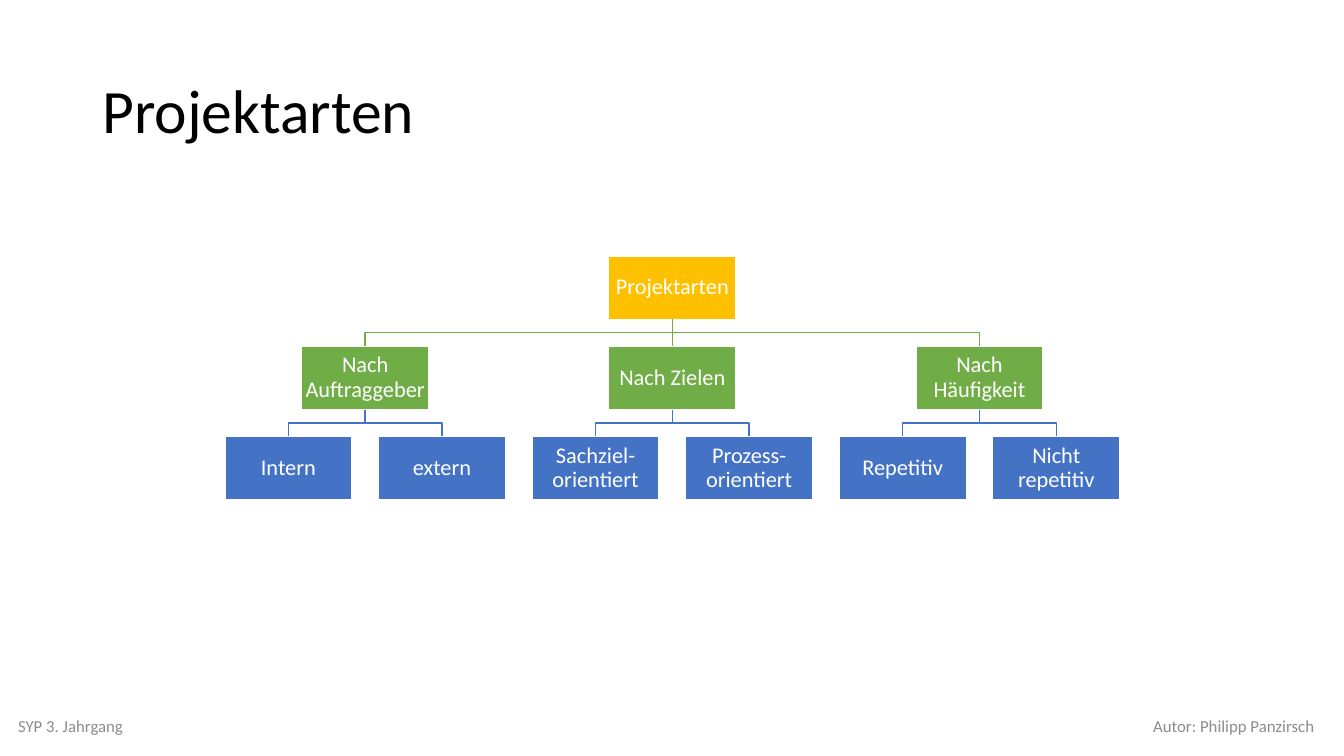
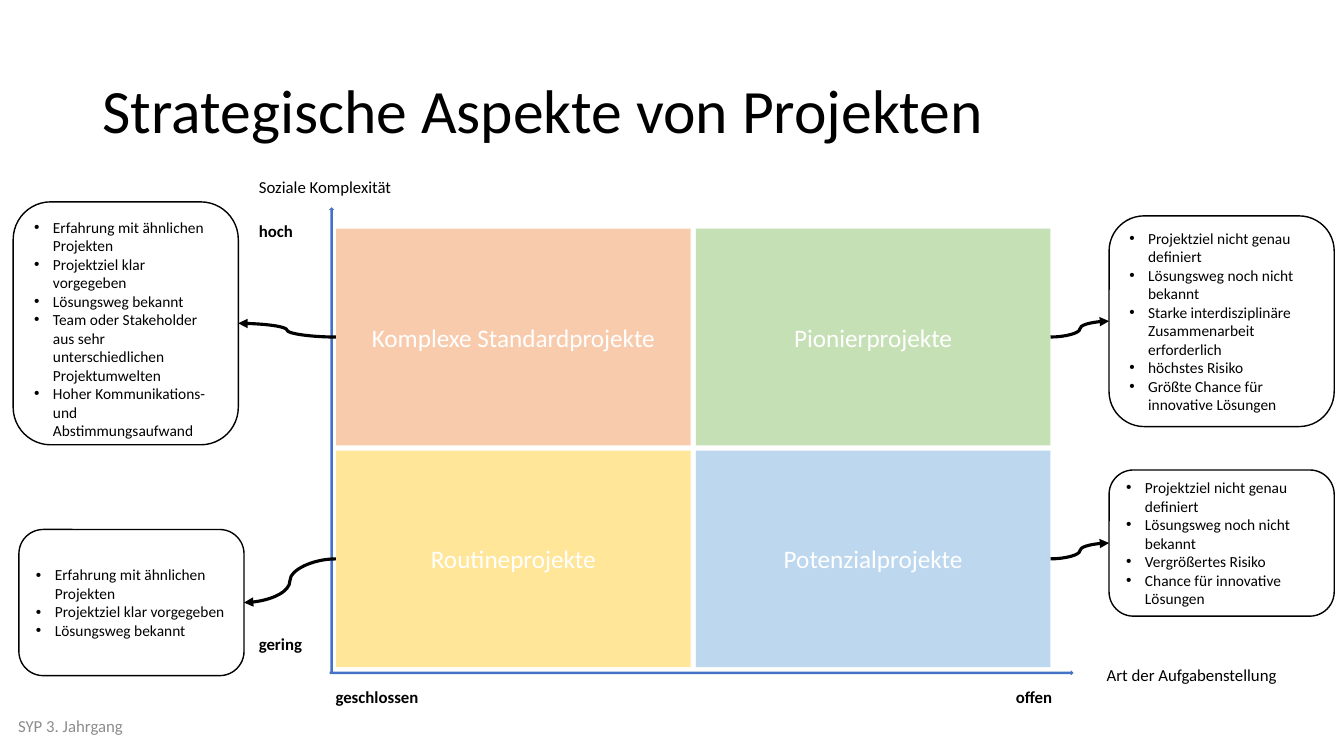
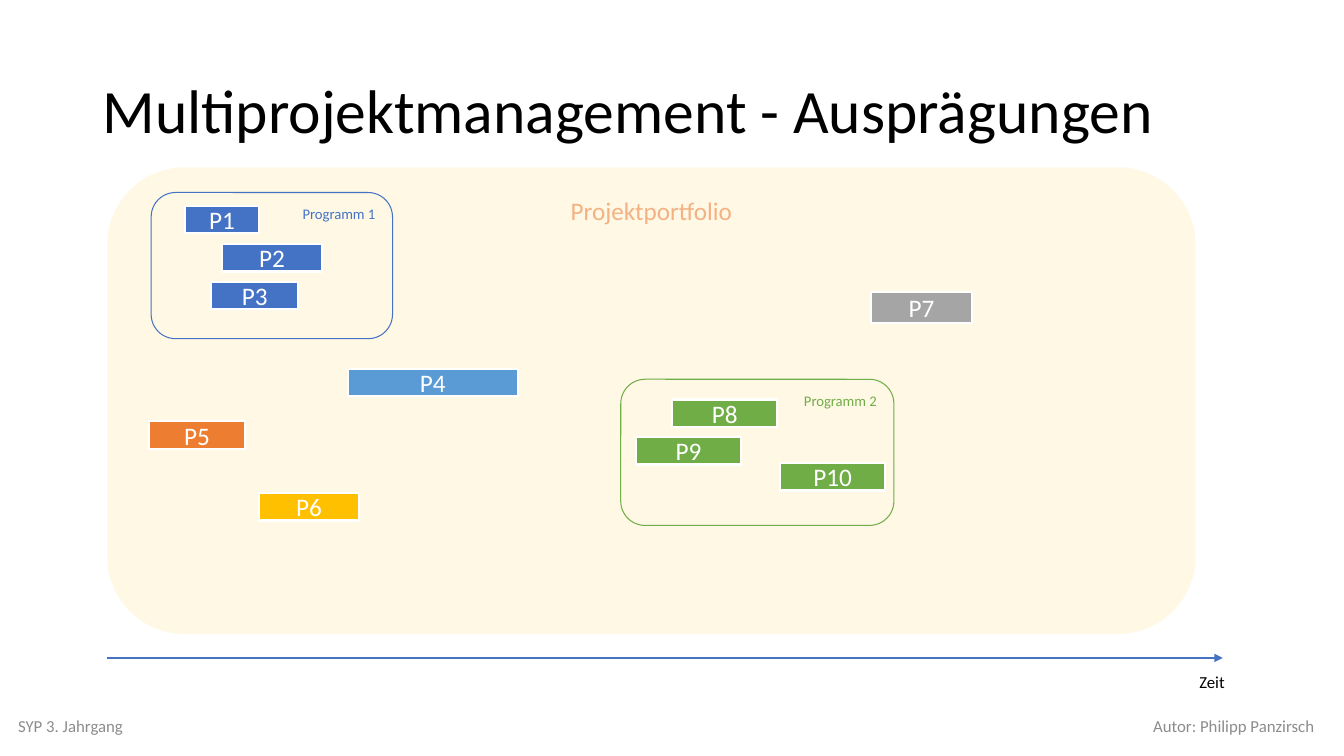
from dataclasses import dataclass
from typing import Any, NamedTuple

from lxml.etree import SubElement
from pptx import Presentation
from pptx.dml.color import RGBColor
from pptx.enum.shapes import MSO_CONNECTOR, MSO_SHAPE
from pptx.enum.text import MSO_ANCHOR, MSO_AUTO_SIZE, PP_ALIGN
from pptx.oxml.ns import qn
from pptx.util import Pt


@dataclass(frozen=True)
class Theme:
    font: str = "Calibri"
    black: RGBColor = RGBColor(0, 0, 0)
    white: RGBColor = RGBColor(255, 255, 255)
    footer: RGBColor = RGBColor.from_string("8C8C8C")
    blue: RGBColor = RGBColor.from_string("4472C4")
    sky: RGBColor = RGBColor.from_string("5B9BD5")
    green: RGBColor = RGBColor.from_string("70AD47")
    gold: RGBColor = RGBColor.from_string("FFC000")
    orange: RGBColor = RGBColor.from_string("ED7D31")
    grey: RGBColor = RGBColor.from_string("A5A5A5")
    peach: RGBColor = RGBColor.from_string("F4B183")
    cream: RGBColor = RGBColor.from_string("FFF2CC")
    pale_orange: RGBColor = RGBColor.from_string("F8CBAD")
    pale_green: RGBColor = RGBColor.from_string("C5E0B4")
    pale_gold: RGBColor = RGBColor.from_string("FFE699")
    pale_blue: RGBColor = RGBColor.from_string("BDD7EE")
    title_size: float = 44
    box_size: float = 18
    node_size: float = 16
    label_size: float = 12
    list_size: float = 11
    program_size: float = 10.5


T = Theme()


class Box(NamedTuple):
    x: float
    y: float
    w: float
    h: float

    def points(self) -> list:
        return [Pt(v) for v in self]


@dataclass(frozen=True)
class Style:
    size: float
    color: RGBColor
    bold: bool = False
    align: Any = PP_ALIGN.LEFT
    anchor: Any = MSO_ANCHOR.TOP
    spacing: float = 1.0
    inset: float | None = None
    bullet: bool = False


@dataclass(frozen=True)
class Node:
    label: str
    children: tuple = ()


@dataclass(frozen=True)
class Label:
    text: str
    box: Box
    bold: bool = True


@dataclass(frozen=True)
class Quadrant:
    name: str
    col: int
    row: int
    color: RGBColor
    note: Box
    traits: tuple
    anchor: Any = MSO_ANCHOR.MIDDLE


@dataclass(frozen=True)
class Project:
    name: str
    box: Box
    color: RGBColor


@dataclass(frozen=True)
class Program:
    name: str
    box: Box
    color: RGBColor


CENTER = {"align": PP_ALIGN.CENTER, "anchor": MSO_ANCHOR.MIDDLE}
TITLE = Style(T.title_size, T.black, anchor=MSO_ANCHOR.MIDDLE, spacing=0.9)
BOX_TEXT = Style(T.box_size, T.white, **CENTER)
NODE_TEXT = Style(T.node_size, T.white, spacing=0.9, inset=0.7, **CENTER)

TITLE_BOX = Box(66, 28.8, 828, 104.4)
FOOTERS = (
    ("SYP 3. Jahrgang", Box(5.8, 504, 324, 28.8), PP_ALIGN.LEFT),
    ("Autor: Philipp Panzirsch", Box(622, 504, 324, 28.8), PP_ALIGN.RIGHT),
)

TREE = Node("Projektarten", (
    Node("Nach Auftraggeber", (Node("Intern"), Node("extern"))),
    Node("Nach Zielen", (Node("Sachziel-orientiert"), Node("Prozess-orientiert"))),
    Node("Nach Häufigkeit", (Node("Repetitiv"), Node("Nicht repetitiv"))),
))
LEVEL_COLORS = (T.gold, T.green, T.blue)
NODE_ORIGIN = Box(160.6, 182.8, 90.8, 45.4)
NODE_PITCH_X, NODE_PITCH_Y = 109.7, 64.4

AXES = ((Box(70.6, 312.5, 332.6, 3.6), 270), (Box(235.4, 478.8, 531.4, 3.6), 0))
AXIS_LABELS = (
    Label("Art der Aufgabenstellung", Box(783.4, 471.6, 147.6, 21.8), False),
    Label("Soziale Komplexität", Box(177.8, 122.4, 115, 21.8), False),
    Label("gering", Box(177.8, 449.3, 56, 21.8)),
    Label("hoch", Box(177.8, 154.1, 42, 21.8)),
    Label("geschlossen", Box(232.6, 486.7, 78, 21.8)),
    Label("offen", Box(718.6, 486.7, 50, 21.8)),
)
QUADRANT_ORIGIN = Box(240, 163.4, 253.4, 154.8)
QUADRANT_GAP = 3.6
NEW_GROUND = ("Projektziel nicht genau definiert", "Lösungsweg noch nicht bekannt")
KNOWN_GROUND = ("Erfahrung mit ähnlichen Projekten", "Projektziel klar vorgegeben",
                "Lösungsweg bekannt")
QUADRANTS = (
    Quadrant("Routineprojekte", 0, 1, T.pale_gold, Box(13.5, 378.2, 160.8, 104.4),
             KNOWN_GROUND),
    Quadrant("Komplexe Standardprojekte", 0, 0, T.pale_orange,
             Box(9.4, 144.2, 160.8, 173.5),
             KNOWN_GROUND + (
                 "Team oder Stakeholder aus sehr unterschiedlichen Projektumwelten",
                 "Hoher Kommunikations- und Abstimmungsaufwand"),
             MSO_ANCHOR.TOP),
    Quadrant("Potenzialprojekte", 1, 1, T.pale_blue, Box(792.2, 335.7, 160.8, 104.4),
             NEW_GROUND + ("Vergrößertes Risiko", "Chance für innovative Lösungen")),
    Quadrant("Pionierprojekte", 1, 0, T.pale_green, Box(792.2, 154.2, 160.8, 150.5),
             NEW_GROUND + ("Starke interdisziplinäre Zusammenarbeit erforderlich",
                           "höchstes Risiko",
                           "Größte Chance für innovative Lösungen")),
)

PORTFOLIO = Box(76.5, 119.5, 777.6, 333.4)
PROGRAMS = (
    Program("Programm 1", Box(108, 137.5, 172.4, 104.4), T.blue),
    Program("Programm 2", Box(443.4, 270.9, 195.1, 104.4), T.green),
)
PROJECTS = (
    Project("P1", Box(132, 146.9, 53.3, 19.6), T.blue),
    Project("P2", Box(158.6, 174.4, 71.4, 19.6), T.blue),
    Project("P3", Box(150.9, 201.2, 62, 19.6), T.blue),
    Project("P4", Box(248.6, 263.5, 121.2, 19.6), T.sky),
    Project("P5", Box(106.2, 300.9, 69, 19.6), T.orange),
    Project("P6", Box(185, 352.2, 71.4, 19.6), T.gold),
    Project("P7", Box(622, 208.4, 72.4, 22.3), T.grey),
    Project("P8", Box(480.2, 285.4, 75, 19.6), T.green),
    Project("P9", Box(454.3, 312.2, 75, 19.6), T.green),
    Project("P10", Box(557.3, 330.8, 75, 19.6), T.green),
)


def apply(obj: Any, values: dict) -> None:
    for name, value in values.items():
        setattr(obj, name, value)


def write(sh: Any, lines: tuple, st: Style) -> None:
    tf = sh.text_frame
    apply(tf, {"word_wrap": True, "auto_size": MSO_AUTO_SIZE.NONE,
               "vertical_anchor": st.anchor})
    if st.inset is not None:
        sides = ("margin_left", "margin_top", "margin_right", "margin_bottom")
        apply(tf, dict.fromkeys(sides, Pt(st.inset)))
    for i, line in enumerate(lines):
        p = tf.add_paragraph() if i else tf.paragraphs[0]
        apply(p, {"alignment": st.align, "line_spacing": st.spacing,
                  "space_before": Pt(0), "space_after": Pt(0)})
        if st.bullet:
            pPr = p._p.get_or_add_pPr()
            pPr.set("marL", str(Pt(13.5)))
            pPr.set("indent", str(-Pt(13.5)))
            SubElement(pPr, qn("a:buFont")).set("typeface", "Arial")
            SubElement(pPr, qn("a:buChar")).set("char", "•")
        r = p.add_run()
        r.text = line
        apply(r.font, {"name": T.font, "size": Pt(st.size), "bold": st.bold})
        r.font.color.rgb = st.color


def add_text(s: Any, text: str, box: Box, st: Style) -> None:
    write(s.shapes.add_textbox(*box.points()), (text,), st)


def paint(sh: Any, fill: RGBColor | None, line: RGBColor | None, width: float) -> None:
    sh.shadow.inherit = False
    if fill is None:
        sh.fill.background()
    else:
        sh.fill.solid()
        sh.fill.fore_color.rgb = fill
    if line is None:
        sh.line.fill.background()
    else:
        sh.line.color.rgb = line
        sh.line.width = Pt(width)


def add_box(s: Any, kind: Any, box: Box, fill: RGBColor | None = None,
            line: RGBColor | None = None, width: float = 1) -> Any:
    sh = s.shapes.add_shape(kind, *box.points())
    paint(sh, fill, line, width)
    return sh


def add_link(s: Any, kind: Any, start: tuple, end: tuple, color: RGBColor,
             width: float, arrow: bool = True) -> Any:
    c = s.shapes.add_connector(kind, *(Pt(v) for v in start + end))
    c.line.color.rgb = color
    c.line.width = Pt(width)
    spPr = c._element.spPr
    if arrow:
        SubElement(spPr.find(qn("a:ln")), qn("a:tailEnd")).set("type", "triangle")
    SubElement(spPr, qn("a:effectLst"))
    return c


def join(s: Any, kind: Any, a: Any, a_side: int, b: Any, b_side: int,
         color: RGBColor, width: float, arrow: bool = True) -> None:
    c = add_link(s, kind, (0, 0), (0, 0), color, width, arrow)
    c.begin_connect(a, a_side)
    c.end_connect(b, b_side)


def add_slide(prs: Any, title: str, footers: tuple = FOOTERS) -> Any:
    s = prs.slides.add_slide(prs.slide_layouts[5])
    apply(s.shapes.title, dict(zip(("left", "top", "width", "height"),
                                   TITLE_BOX.points())))
    write(s.shapes.title, (title,), TITLE)
    for text, box, align in footers:
        add_text(s, text, box, Style(T.label_size, T.footer, align=align,
                                     anchor=MSO_ANCHOR.MIDDLE))
    return s


def leaf_count(node: Node) -> int:
    return sum(map(leaf_count, node.children)) or 1


def add_branch(s: Any, parent: Any, child: Any, color: RGBColor) -> None:
    x1, y1 = parent.left + parent.width // 2, parent.top + parent.height
    x2, y2 = child.left + child.width // 2, child.top
    if abs(x1 - x2) < Pt(1):
        join(s, MSO_CONNECTOR.STRAIGHT, parent, 2, child, 0, color, 1, False)
        return
    mid = (y1 + y2) // 2
    fb = s.shapes.build_freeform(x1, y1)
    fb.add_line_segments([(x1, mid), (x2, mid), (x2, y2)], close=False)
    paint(fb.convert_to_shape(), None, color, 1)


def add_node(s: Any, node: Node, level: int = 0, slot: int = 0) -> Any:
    x, y, w, h = NODE_ORIGIN
    middle = slot + (leaf_count(node) - 1) / 2
    box = Box(x + middle * NODE_PITCH_X, y + level * NODE_PITCH_Y, w, h)
    sh = add_box(s, MSO_SHAPE.RECTANGLE, box, LEVEL_COLORS[level], T.white)
    write(sh, (node.label,), NODE_TEXT)
    for child in node.children:
        add_branch(s, sh, add_node(s, child, level + 1, slot), LEVEL_COLORS[level + 1])
        slot += leaf_count(child)
    return sh


def add_quadrant(s: Any, q: Quadrant) -> None:
    x, y, w, h = QUADRANT_ORIGIN
    box = Box(x + q.col * (w + QUADRANT_GAP), y + q.row * (h + QUADRANT_GAP), w, h)
    sh = add_box(s, MSO_SHAPE.RECTANGLE, box, q.color)
    write(sh, (q.name,), BOX_TEXT)
    note = add_box(s, MSO_SHAPE.ROUNDED_RECTANGLE, q.note, T.white, T.black)
    write(note, q.traits, Style(T.list_size, T.black, anchor=q.anchor, bullet=True))
    sides = (3, 1) if q.col else (1, 3)
    join(s, MSO_CONNECTOR.CURVE, sh, sides[0], note, sides[1], T.black, 2.25)


def build_types(prs: Any) -> None:
    add_node(add_slide(prs, "Projektarten"), TREE)


def build_strategy(prs: Any) -> None:
    s = add_slide(prs, "Strategische Aspekte von Projekten", FOOTERS[:1])
    for box, angle in AXES:
        add_box(s, MSO_SHAPE.RIGHT_ARROW, box, T.blue).rotation = angle
    for label in AXIS_LABELS:
        add_text(s, label.text, label.box, Style(T.label_size, T.black, label.bold))
    for q in QUADRANTS:
        add_quadrant(s, q)


def build_portfolio(prs: Any) -> None:
    s = add_slide(prs, "Multiprojektmanagement - Ausprägungen")
    sh = add_box(s, MSO_SHAPE.ROUNDED_RECTANGLE, PORTFOLIO, T.cream)
    color = sh._element.spPr.find(qn("a:solidFill")).find(qn("a:srgbClr"))
    SubElement(color, qn("a:alpha")).set("val", "50000")
    write(sh, ("Projektportfolio",), Style(T.box_size, T.peach, align=PP_ALIGN.CENTER))
    add_link(s, MSO_CONNECTOR.STRAIGHT, (76.5, 470), (873.4, 470), T.blue, 1.5)
    add_text(s, "Zeit", Box(849.6, 476.6, 44, 21.8), Style(T.label_size, T.black))
    for g in PROGRAMS:
        sh = add_box(s, MSO_SHAPE.ROUNDED_RECTANGLE, g.box, line=g.color, width=0.75)
        write(sh, (g.name,), Style(T.program_size, g.color, align=PP_ALIGN.RIGHT))
    for j in PROJECTS:
        sh = add_box(s, MSO_SHAPE.RECTANGLE, j.box, j.color, T.white, 1.5)
        write(sh, (j.name,), BOX_TEXT)


def main() -> None:
    prs = Presentation()
    apply(prs, {"slide_width": Pt(960), "slide_height": Pt(540)})
    for build in (build_types, build_strategy, build_portfolio):
        build(prs)
    prs.save("out.pptx")


if __name__ == "__main__":
    main()
